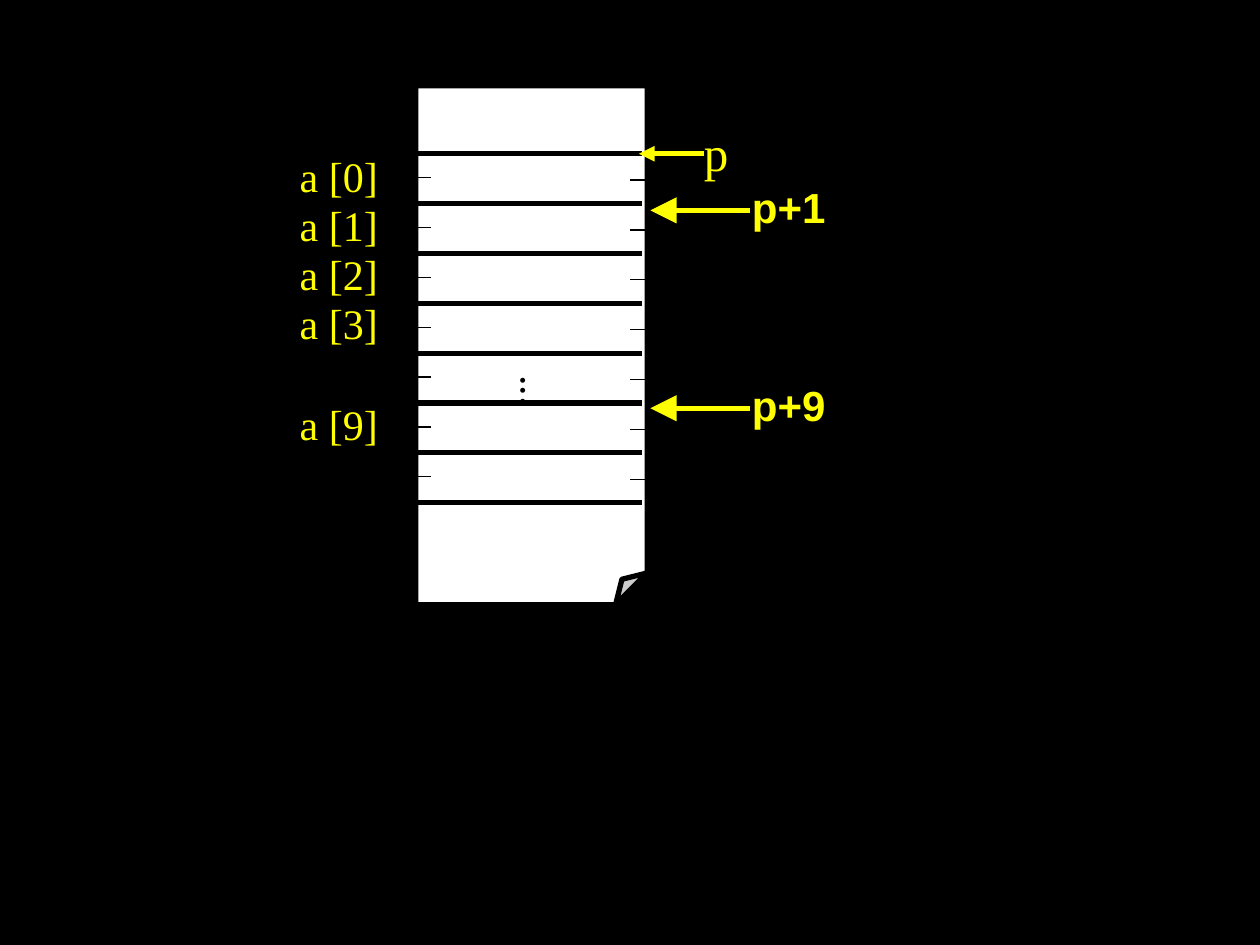
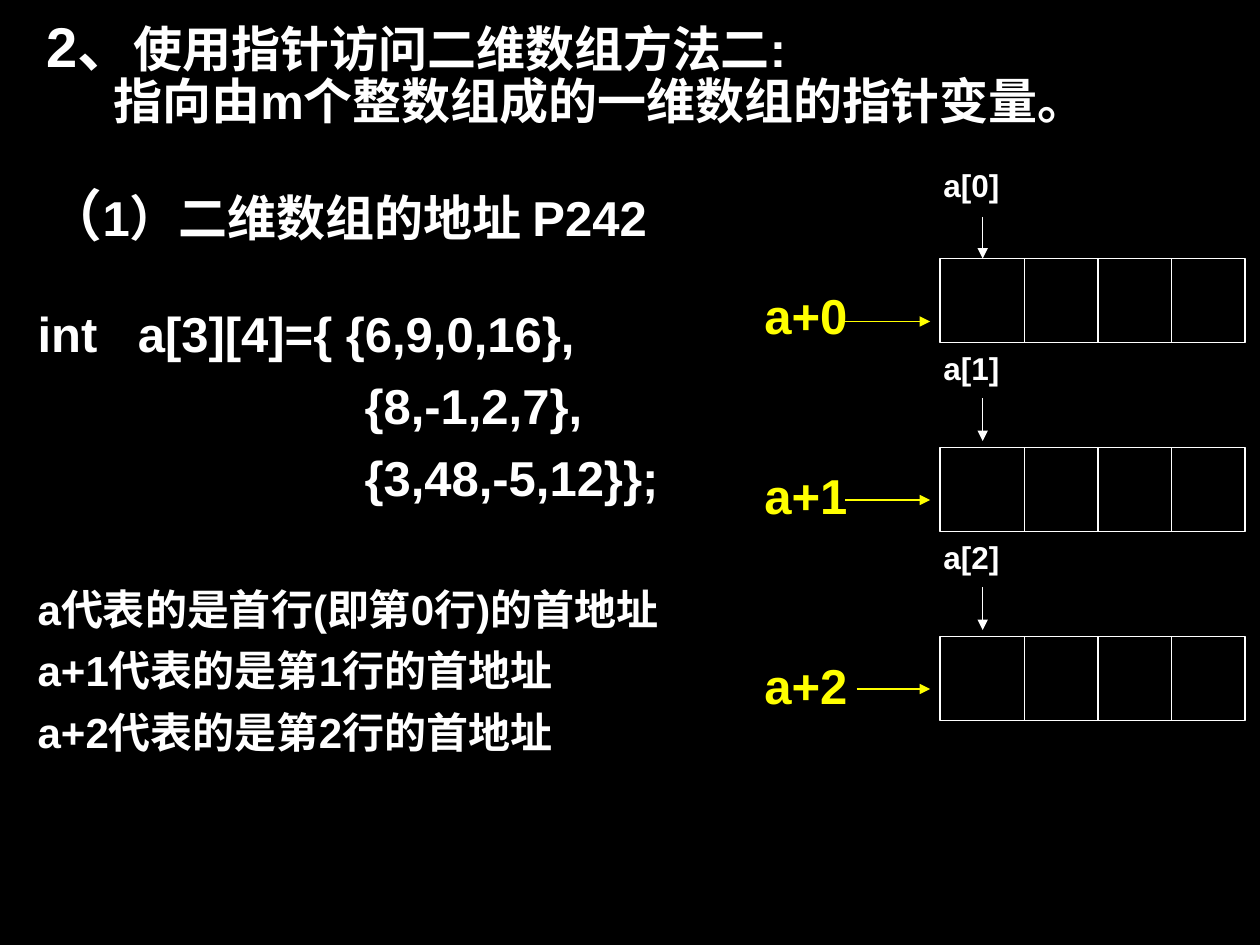
from lxml import etree
from pptx import Presentation
from pptx.dml.color import RGBColor
from pptx.enum.shapes import MSO_CONNECTOR, MSO_SHAPE
from pptx.enum.text import MSO_ANCHOR, MSO_AUTO_SIZE, PP_ALIGN
from pptx.oxml.ns import qn
from pptx.util import Cm, Pt

STRAIGHT = MSO_CONNECTOR.STRAIGHT
FOLDED, RECTANGLE = MSO_SHAPE.FOLDED_CORNER, MSO_SHAPE.RECTANGLE
TOP, MIDDLE = MSO_ANCHOR.TOP, MSO_ANCHOR.MIDDLE
LEFT, CENTER = PP_ALIGN.LEFT, PP_ALIGN.CENTER
GROW, FIXED = MSO_AUTO_SIZE.SHAPE_TO_FIT_TEXT, MSO_AUTO_SIZE.NONE

COLORS = {"black": "000000", "white": "FFFFFF", "yellow": "FFFF00"}
THICK, THIN = 3, 0.74

# Shared text styles
CELL_NAME = {"font": "Times New Roman", "size": 24, "color": "yellow", "bold": False}
POINTER = {"font": "Arial", "size": 24, "color": "yellow", "bold": True}
ROW_POINTER = {**POINTER, "size": 28}
BODY = {**POINTER, "color": "white"}
HEADING = {**BODY, "size": 28}
LARGE = {**BODY, "size": 32}
ROW_NAME = {**BODY, "size": 18}


def color(name):
    return RGBColor.from_string(COLORS[name])


def add_page(deck):
    page = deck.slides.add_slide(deck.slide_layouts[6])
    page.background.fill.solid()
    page.background.fill.fore_color.rgb = color("black")
    return page


def add_line(page, start, end, line_color, width=THIN, head=None):
    """Draw a line; head is the arrowhead size at its end."""
    line = page.shapes.add_connector(STRAIGHT, *map(Cm, start + end))
    line.line.color.rgb = color(line_color)
    line.line.width = Pt(width)
    if head:
        etree.SubElement(line.line._get_or_add_ln(), qn("a:tailEnd"),
                         type="triangle", w=head, len=head)
    etree.SubElement(line._element.spPr, qn("a:effectLst"))


def add_box(page, kind, area, fill, line_color, width=THIN):
    box = page.shapes.add_shape(kind, *map(Cm, area))
    box.shadow.inherit = False
    box.fill.solid()
    box.fill.fore_color.rgb = color(fill)
    box.line.color.rgb = color(line_color)
    box.line.width = Pt(width)
    return box


def set_fold(box, share):
    """Set the fold size, which python-pptx does not list for this shape."""
    guides = box._element.spPr.find(qn("a:prstGeom")).get_or_add_avLst()
    etree.SubElement(guides, qn("a:gd"), name="adj", fmla=f"val {round(share * 100000)}")


def add_text(page, area, paragraphs, wrap=True, anchor=TOP, size=GROW, **layout):
    """Write paragraphs, each a list of (text, style) spans."""
    box = page.shapes.add_textbox(*map(Cm, area))
    frame = box.text_frame
    settings = {"word_wrap": wrap, "vertical_anchor": anchor, "auto_size": size}
    for name, value in settings.items():
        setattr(frame, name, value)
    for number, spans in enumerate(paragraphs):
        para = frame.add_paragraph() if number else frame.paragraphs[0]
        for name, value in layout.items():
            setattr(para, name, value)
        for text, style in spans:
            span = para.add_run()
            span.text = text
            values = {"name": style["font"], "size": Pt(style["size"]),
                      "bold": style["bold"]}
            for name, value in values.items():
                setattr(span.font, name, value)
            span.font.color.rgb = color(style["color"])
    return box


def indent(para, distance):
    properties = para._p.get_or_add_pPr()
    properties.set("marL", str(Cm(distance)))
    properties.set("indent", "0")


def add_tab_stop(para, distance):
    stops = etree.SubElement(para._p.get_or_add_pPr(), qn("a:tabLst"))
    etree.SubElement(stops, qn("a:tab"), pos=str(Cm(distance)), algn="l")


def build_memory_page(deck):
    page = add_page(deck)
    left, first, pitch = 8.38, 3.1, 1.005

    # Memory strip with cell borders and byte ticks
    strip = add_box(page, FOLDED, (left, 1.73, 4.67, 10.46), "white", "black", THICK)
    set_fold(strip, 0.137)
    for row in range(8):
        y = first + row * pitch
        add_line(page, (left, y), (12.95, y), "black", THICK)
    for row in range(7):
        y = first + row * pitch
        add_line(page, (left, y + 0.48), (8.69, y + 0.48), "black")
        add_line(page, (12.7, y + 0.53), (13.0, y + 0.53), "black")

    # Cell names
    tops = {index: 2.9 + 0.99 * index for index in range(4)}
    tops[9] = 7.9
    for index, top in tops.items():
        add_text(page, (5.79, top, 2.08, 1.27), [[(f"a [{index}]", CELL_NAME)]],
                 wrap=False, anchor=MIDDLE, alignment=CENTER)
    dots = add_text(page, (10.08, 7.32, 1.52, 0.89),
                    [[("...", {**CELL_NAME, "color": "black"})]],
                    wrap=False, anchor=MIDDLE, alignment=CENTER)
    frame = dots.text_frame
    frame.margin_left = frame.margin_right = Cm(0.13)
    frame.margin_top = frame.margin_bottom = Cm(0.25)
    frame._txBody.bodyPr.set("vert", "eaVert")

    # Pointers
    add_line(page, (14.2, first), (12.88, first), "yellow", THICK, "med")
    add_text(page, (13.94, 2.34, 0.99, 1.45), [[("p", {**CELL_NAME, "size": 28})]],
             wrap=False, anchor=MIDDLE, alignment=CENTER)
    for text, y in (("p+1", 4.24), ("p+9", 8.23)):
        add_text(page, (14.91, y - 0.71, 2.21, 1.27), [[(text, POINTER)]],
                 space_before=Pt(15))
        add_line(page, (15.11, y), (13.11, y), "yellow", THICK, "lg")


def build_rows(page):
    left, width, height = 18.95, 6.15, 1.7
    # Row pointer top, its arrow's start and height, row name top, down arrow
    rows = [(5.64, 17.04, 6.48, 3.23, 4.37, 5.21),
            (9.25, 17.04, 10.08, 6.91, 8.03, 8.89),
            (13.08, 17.27, 13.89, 10.72, 11.84, 12.7)]
    for index, (pointer_top, start, y, name_top, tail, tip) in enumerate(rows):
        top = 5.21 + 3.81 * index
        add_box(page, RECTANGLE, (left, top, width, height), "black", "white")
        for column in range(3):
            x = 20.65 + 1.485 * column
            add_line(page, (x, top), (x, top + height), "white")
        add_text(page, (15.16, pointer_top, 2.18, 1.45),
                 [[(f"a+{index}", ROW_POINTER)]], wrap=False, space_before=Pt(17.5))
        add_line(page, (start, y), (18.75, y), "yellow", head="med")
        add_text(page, (18.77, name_top, 1.63, 1.02),
                 [[(f"a[{index}]", ROW_NAME)]], wrap=False, space_before=Pt(11.2))
        add_line(page, (19.81, tail), (19.81, tip), "white", head="med")


def build_array_page(deck):
    page = add_page(deck)

    # Title and subtitle
    title = add_text(page, (0.69, 0, 22.81, 3.05),
                     [[("2、", LARGE), ("使用指针访问二维数组方法二:", HEADING)],
                      [("指向由m个整数组成的一维数组的指针变量。", HEADING)]],
                     anchor=MIDDLE, size=FIXED, alignment=LEFT, line_spacing=0.85)
    indent(title.text_frame.paragraphs[1], 1.35)
    add_text(page, (0.69, 3.51, 13.79, 1.63),
             [[("（", LARGE), ("1）二维数组的地址 P242", HEADING)]],
             space_before=Pt(17.5))

    # Declaration
    lines = ["int\ta[3][4]={ {6,9,0,16},", "{8,-1,2,7},", "{3,48,-5,12}};"]
    code = add_text(page, (0.51, 6.32, 13.79, 3.99),
                    [[(line, HEADING)] for line in lines],
                    line_spacing=0.7, space_before=Pt(17.5))
    first, *others = code.text_frame.paragraphs
    add_tab_stop(first, 2.02)
    for para in others:
        indent(para, 6.59)

    # Meaning of each row address
    notes = ["a代表的是首行(即第0行)的首地址"]
    notes += [f"a+{row}代表的是第{row}行的首地址" for row in (1, 2)]
    add_text(page, (0.51, 11.91, 15.39, 3.45), [[(note, BODY)] for note in notes],
             line_spacing=0.7, space_before=Pt(15))

    build_rows(page)


def main():
    deck = Presentation()
    deck.slide_width, deck.slide_height = Cm(25.4), Cm(19.05)
    build_memory_page(deck)
    build_array_page(deck)
    deck.save("out.pptx")


main()
